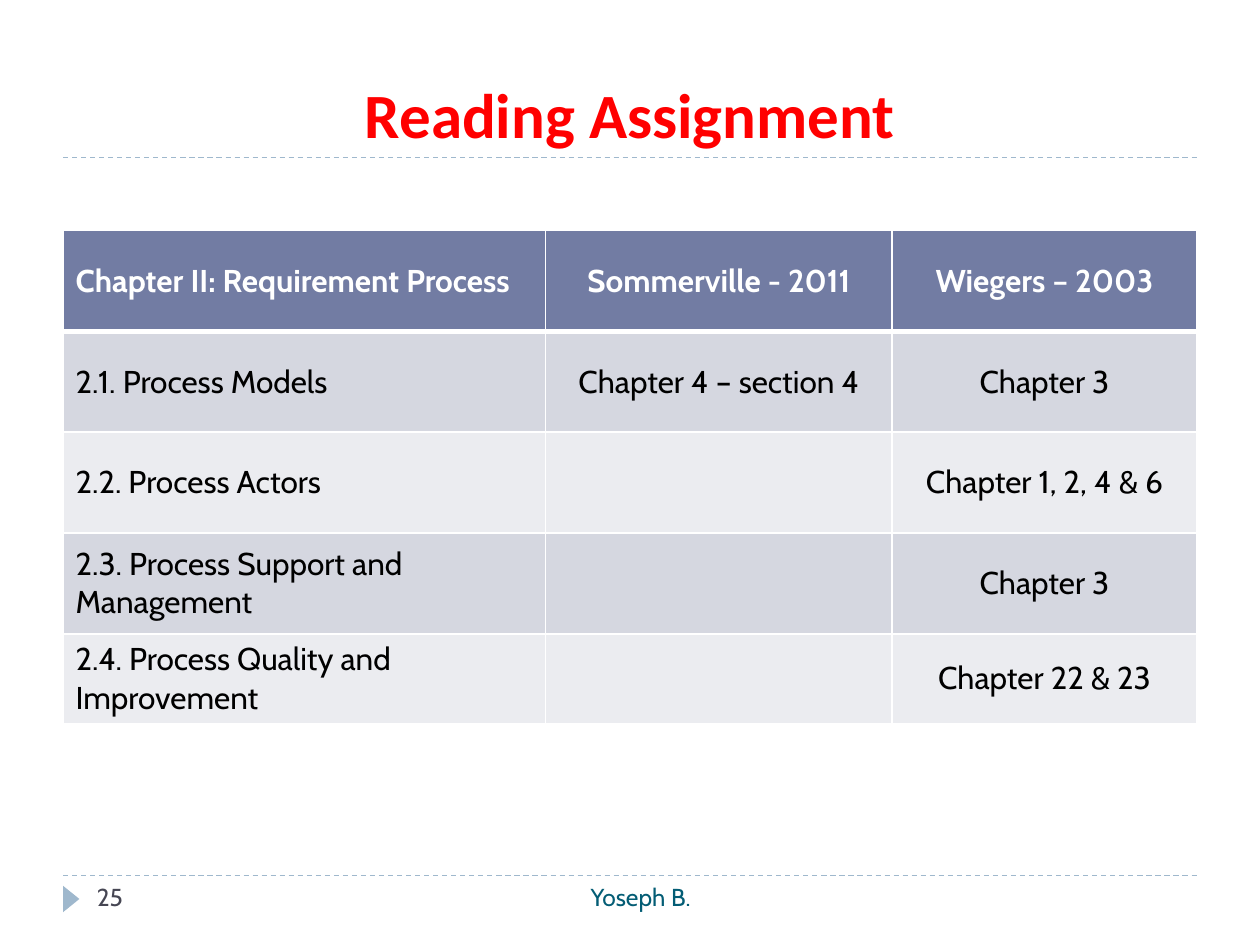
"""Build the reading assignment slide with its chapter table."""
from dataclasses import dataclass

from lxml.etree import SubElement
from pptx import Presentation
from pptx.dml.color import RGBColor
from pptx.enum.dml import MSO_LINE
from pptx.enum.shapes import MSO_CONNECTOR, MSO_SHAPE
from pptx.enum.text import MSO_ANCHOR, PP_ALIGN
from pptx.oxml.ns import qn
from pptx.slide import Slide
from pptx.table import _Cell
from pptx.text.text import _Paragraph
from pptx.util import Inches, Pt

ACCENT = "9FB8CD"
HEADER_FILL = "727CA3"
BAND_FILLS = ("D5D7E0", "EBECF0")
RULE_TOPS = (1.25, 6.95)
COLUMN_WIDTHS = (3.83, 2.75, 2.42)
ROW_HEIGHTS = (0.8, 0.8, 0.8, 0.8, 0.69)
READINGS = (
    ("Chapter II: Requirement Process", "Sommerville - 2011", "Wiegers – 2003"),
    ("2.1. Process Models", "Chapter 4 – section 4", "Chapter 3"),
    ("2.2. Process Actors", "", "Chapter 1, 2, 4 & 6"),
    ("2.3. Process Support and Management", "", "Chapter 3"),
    ("2.4. Process Quality and Improvement", "", "Chapter 22 & 23"),
)


@dataclass(frozen=True)
class Style:
    size: float
    color: str
    font: str = "Cabin"
    bold: bool = False
    align: PP_ALIGN = PP_ALIGN.LEFT


@dataclass(frozen=True)
class Label:
    text: str
    left: float
    top: float
    width: float
    height: float
    style: Style
    anchor: MSO_ANCHOR = MSO_ANCHOR.TOP


LABELS = (
    Label("Reading Assignment", 0.5, 0.17, 9, 1.08,
          Style(36, "FF0000", "Calibri", True, PP_ALIGN.CENTER), MSO_ANCHOR.BOTTOM),
    Label("25", 0.67, 6.95, 2.17, 0.4, Style(14, "464653")),
    Label("Yoseph B.", 3.17, 6.95, 3.83, 0.4,
          Style(14, "045D75", align=PP_ALIGN.CENTER)),
)


def rgb(value: str) -> RGBColor:
    """Turn a hex string into a colour."""
    return RGBColor.from_string(value)


def style_paragraph(paragraph: _Paragraph, style: Style) -> None:
    """Apply alignment and font to a paragraph."""
    paragraph.alignment = style.align
    font = paragraph.font
    font.name, font.size, font.bold = style.font, Pt(style.size), style.bold
    font.color.rgb = rgb(style.color)


def draw_label(slide: Slide, label: Label) -> None:
    """Add a wrapped text box."""
    box = slide.shapes.add_textbox(Inches(label.left), Inches(label.top),
                                   Inches(label.width), Inches(label.height))
    frame = box.text_frame
    frame.word_wrap = True
    frame.vertical_anchor = label.anchor
    frame.text = label.text
    style_paragraph(frame.paragraphs[0], label.style)


def draw_rule(slide: Slide, top: float) -> None:
    """Add a dashed line across the slide."""
    rule = slide.shapes.add_connector(MSO_CONNECTOR.STRAIGHT, Inches(0.5), Inches(top),
                                      Inches(9.5), Inches(top))
    rule.line.color.rgb = rgb(ACCENT)
    rule.line.width = Pt(0.75)
    rule.line.dash_style = MSO_LINE.DASH
    SubElement(rule._element.spPr, qn("a:effectLst"))


def draw_page_marker(slide: Slide) -> None:
    """Add the triangle that points at the page number."""
    marker = slide.shapes.add_shape(MSO_SHAPE.ISOSCELES_TRIANGLE, Inches(0.46),
                                    Inches(7.07), Inches(0.21), Inches(0.13))
    marker.rotation = 90
    marker.shadow.inherit = False
    marker.fill.solid()
    marker.fill.fore_color.rgb = rgb(ACCENT)
    marker.line.fill.background()


def set_borders(cell: _Cell, top: float, bottom: float) -> None:
    """Give a cell white borders, with widths in points."""
    properties = cell._tc.get_or_add_tcPr()
    for side, width in (("L", 1), ("R", 1), ("T", top), ("B", bottom)):
        border = SubElement(properties, qn(f"a:ln{side}"), w=str(Pt(width)))
        SubElement(SubElement(border, qn("a:solidFill")), qn("a:srgbClr"), val="FFFFFF")


def draw_readings(slide: Slide) -> None:
    """Add the table of chapters to read."""
    table = slide.shapes.add_table(
        len(READINGS), len(COLUMN_WIDTHS), Inches(0.5), Inches(1.83),
        Inches(sum(COLUMN_WIDTHS)), Inches(sum(ROW_HEIGHTS))).table
    for column, width in zip(table.columns, COLUMN_WIDTHS):
        column.width = Inches(width)
    for row_index, (row, height) in enumerate(zip(table.rows, ROW_HEIGHTS)):
        row.height = Inches(height)
        header = row_index == 0
        fill = HEADER_FILL if header else BAND_FILLS[(row_index - 1) % 2]
        for column_index, text in enumerate(READINGS[row_index]):
            cell = table.cell(row_index, column_index)
            set_borders(cell, 3 if row_index == 1 else 1, 3 if header else 1)
            cell.fill.solid()
            cell.fill.fore_color.rgb = rgb(fill)
            cell.vertical_anchor = MSO_ANCHOR.MIDDLE
            cell.text = text
            align = PP_ALIGN.CENTER if column_index else PP_ALIGN.LEFT
            style_paragraph(cell.text_frame.paragraphs[0],
                            Style(18, "FFFFFF" if header else "000000",
                                  bold=header, align=align))


def main() -> None:
    """Create and save the slide."""
    presentation = Presentation()
    presentation.slide_width, presentation.slide_height = Inches(10), Inches(7.5)
    slide = presentation.slides.add_slide(presentation.slide_layouts[6])
    for top in RULE_TOPS:
        draw_rule(slide, top)
    draw_page_marker(slide)
    draw_readings(slide)
    for label in LABELS:
        draw_label(slide, label)
    presentation.save("out.pptx")


if __name__ == "__main__":
    main()
